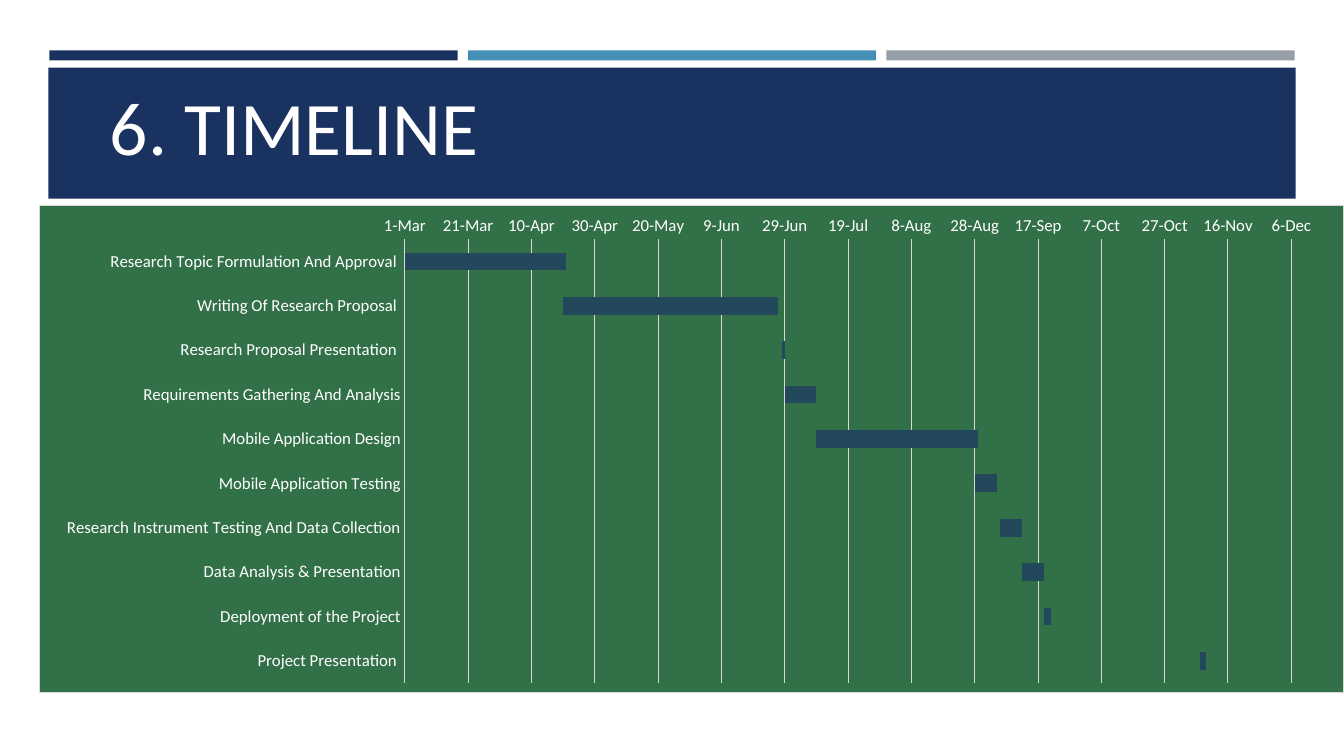
from pptx import Presentation as Deck
from pptx.chart.data import CategoryChartData as ChartData
from pptx.dml.color import RGBColor
from pptx.enum.chart import XL_CHART_TYPE as Kind, XL_TICK_MARK as Tick
from pptx.enum.shapes import MSO_SHAPE as Shape
from pptx.enum.text import MSO_ANCHOR as Anchor
from pptx.oxml import parse_xml
from pptx.util import Inches, Pt

NAVY = RGBColor(0x1A, 0x32, 0x60)
BLUE = RGBColor(0x45, 0x90, 0xB8)
GREY = RGBColor(0x96, 0x9F, 0xA7)
WHITE = RGBColor(0xFF, 0xFF, 0xFF)
RULE = RGBColor(0xD9, 0xD9, 0xD9)
GREEN = RGBColor(0x32, 0x70, 0x47)
TEAL = RGBColor(0x23, 0x48, 0x5C)

NS = ('xmlns:c="http://schemas.openxmlformats.org/drawingml/2006/chart" '
      'xmlns:a="http://schemas.openxmlformats.org/drawingml/2006/main"')

# Task, first day (as a date serial), length in days
TASKS = [
    ("Research Topic Formulation And Approval ", 44256, 51),
    ("Writing Of Research Proposal ", 44306, 68),
    ("Research Proposal Presentation ", 44375, 1),
    ("Requirements Gathering And Analysis", 44376, 10),
    ("Mobile Application Design", 44386, 51),
    ("Mobile Application Testing", 44436, 7),
    ("Research Instrument Testing And Data Collection", 44444, 7),
    ("Data Analysis & Presentation", 44451, 7),
    ("Deployment of the Project", 44458, 2),
    ("Project Presentation ", 44507, 2),
]
START, STEP, STEPS = 44256, 20, 14


def set_all(item, **values):
    for name, value in values.items():
        setattr(item, name, value)


def add_bar(slide, color, *box):
    bar = slide.shapes.add_shape(Shape.RECTANGLE, *map(Inches, box))
    bar.shadow.inherit = False
    bar.fill.solid()
    bar.fill.fore_color.rgb = color
    bar.line.fill.background()


def add_title(slide, runs, *box):
    frame = slide.shapes.add_textbox(*map(Inches, box)).text_frame
    set_all(frame, word_wrap=True, vertical_anchor=Anchor.BOTTOM)
    for text, face, bold in runs:
        run = frame.paragraphs[0].add_run()
        run.text = text
        set_all(run.font, name=face, size=Pt(54), bold=bold)
        run.font.color.rgb = WHITE


def draw_rule(line):
    line.color.rgb = RULE
    line.width = Pt(0.75)


def style_axis(axis):
    set_all(axis, major_tick_mark=Tick.NONE, minor_tick_mark=Tick.NONE)
    font = axis.tick_labels.font
    set_all(font, name="Calibri", size=Pt(12), bold=False)
    font.color.rgb = WHITE


def fill_chart(chart):
    """Paint the chart area and fix the place of the plot."""
    chart.element.find("{*}chart").addnext(parse_xml(
        f'<c:spPr {NS}><a:solidFill><a:srgbClr val="{GREEN}"/></a:solidFill>'
        f'<a:ln w="{Pt(0.75)}"><a:solidFill><a:srgbClr val="{RULE}"/>'
        '</a:solidFill></a:ln></c:spPr>'))
    plot = chart.element.find(".//{*}plotArea")
    for old in plot.findall("{*}layout"):
        plot.remove(old)
    spots = {"x": 0.28, "y": 0.07, "w": 0.68, "h": 0.91}
    modes = "".join(f'<c:{k}Mode val="edge"/>' for k in "xy")
    sizes = "".join(f'<c:{k} val="{v}"/>' for k, v in spots.items())
    plot.insert(0, parse_xml(
        f'<c:layout {NS}><c:manualLayout><c:layoutTarget val="inner"/>'
        f'{modes}{sizes}</c:manualLayout></c:layout>'))


def add_gantt(slide, *box):
    names, starts, days = zip(*TASKS)
    data = ChartData()
    data.categories = names
    data.add_series("Series 1", starts)
    data.add_series("Series 2", days)
    chart = slide.shapes.add_chart(
        Kind.BAR_STACKED, *map(Inches, box), data).chart
    set_all(chart, has_legend=False, has_title=False)
    set_all(chart.font, name="Calibri", size=Pt(10))
    fill_chart(chart)

    # Bars: the first series only pushes the second to its start date
    plot = chart.plots[0]
    set_all(plot, gap_width=150, overlap=100, vary_by_categories=False)
    push, span = plot.series
    push.format.fill.background()
    span.format.fill.solid()
    span.format.fill.fore_color.rgb = TEAL

    # Axes
    tasks, dates = chart.category_axis, chart.value_axis
    style_axis(tasks)
    style_axis(dates)
    tasks.reverse_order = True
    draw_rule(tasks.format.line)
    set_all(dates, minimum_scale=START, maximum_scale=START + STEP * STEPS,
            major_unit=STEP, has_major_gridlines=True)
    draw_rule(dates.major_gridlines.format.line)
    dates.format.line.fill.background()
    set_all(dates.tick_labels, number_format="d\\-mmm",
            number_format_is_linked=False)


def main():
    deck = Deck()
    set_all(deck, slide_width=Inches(13.33), slide_height=Inches(7.5))
    slide = deck.slides.add_slide(deck.slide_layouts[6])

    # Header strips and title band
    for i, color in enumerate((NAVY, BLUE, GREY)):
        add_bar(slide, color, 0.49 + 4.15 * i, 0.5, 4.05, 0.1)
    add_bar(slide, NAVY, 0.48, 0.67, 12.37, 1.3)
    add_title(slide, [(" ", "Arial Narrow", True),
                      ("6. TIMELINE", "Calibri", False)],
              0.82, 0.89, 11.33, 0.85)

    # Schedule
    add_gantt(slide, 0.39, 2.03, 12.94, 4.85)
    deck.save("out.pptx")


if __name__ == "__main__":
    main()
